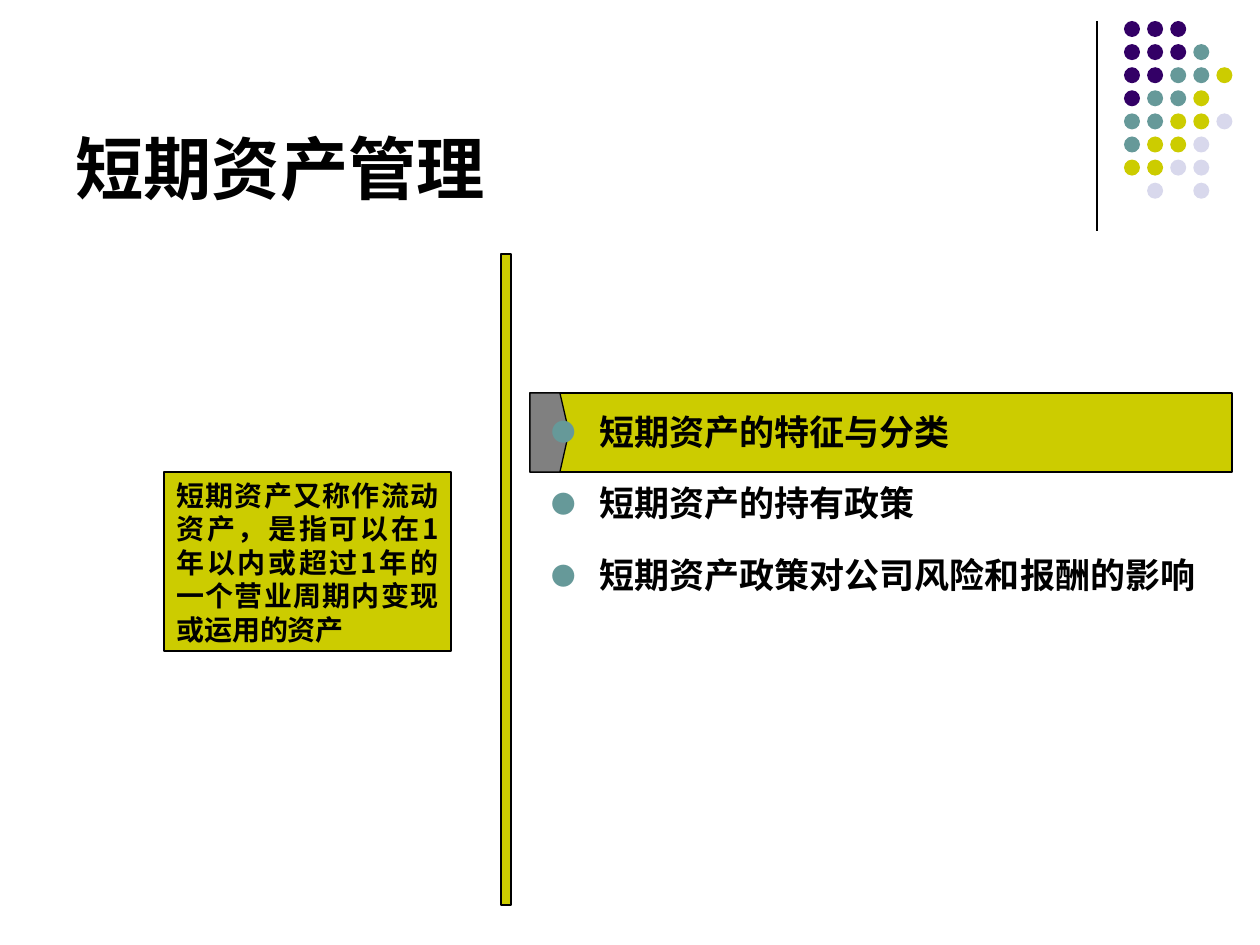
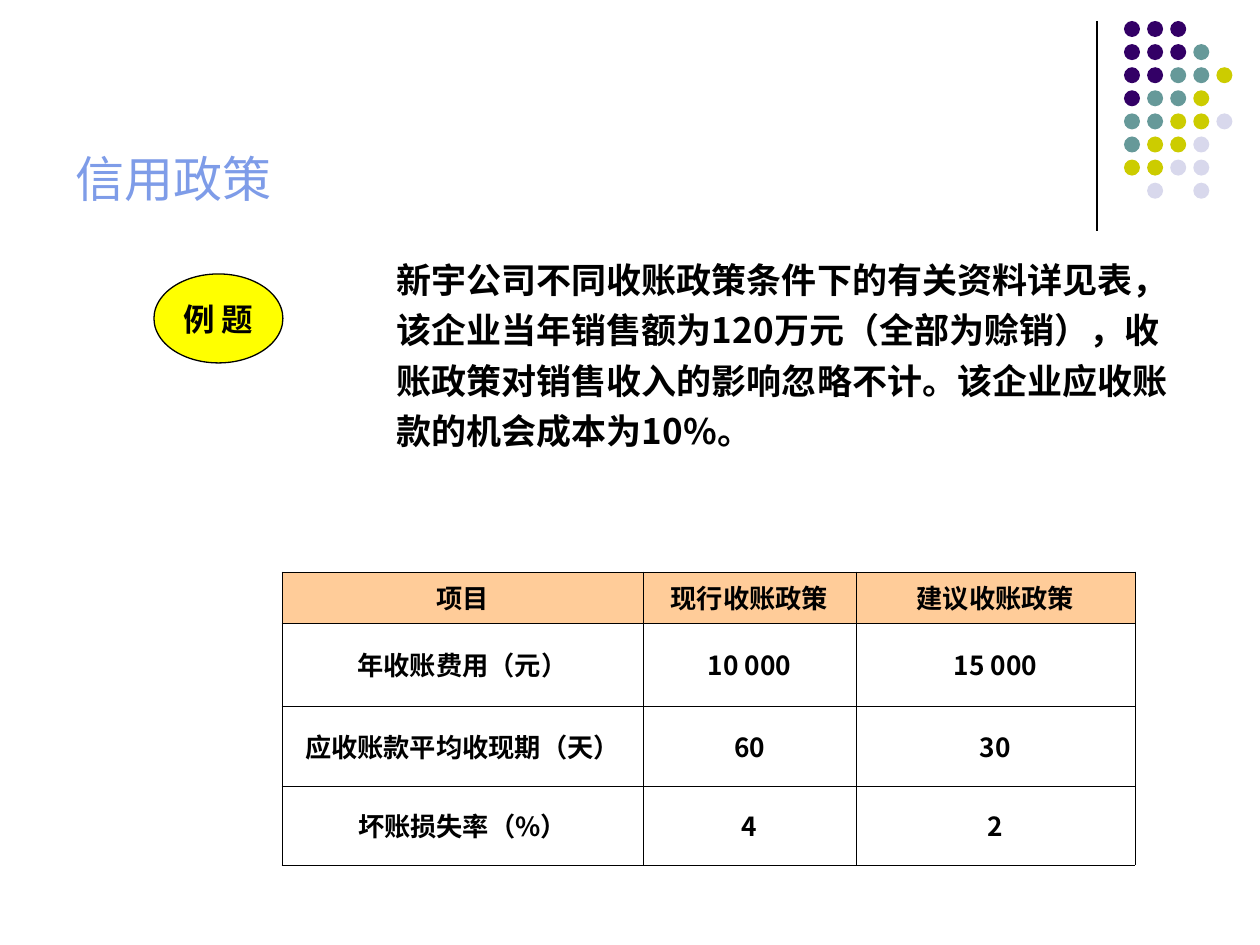
from lxml.etree import SubElement
from pptx import Presentation
from pptx.dml.color import RGBColor
from pptx.enum.shapes import MSO_CONNECTOR, MSO_SHAPE
from pptx.enum.text import MSO_ANCHOR, PP_ALIGN
from pptx.oxml.ns import qn
from pptx.util import Pt

SCALE = 914400 / 126
BLACK = RGBColor(0x00, 0x00, 0x00)
WHITE = RGBColor(0xFF, 0xFF, 0xFF)
PURPLE = RGBColor(0x33, 0x00, 0x66)
TEAL = RGBColor(0x66, 0x99, 0x99)
OLIVE = RGBColor(0xCC, 0xCC, 0x00)
LILAC = RGBColor(0xD8, 0xD8, 0xEC)
GRAY = RGBColor(0x80, 0x80, 0x80)
BLUE = RGBColor(0x7E, 0x9C, 0xE8)
YELLOW = RGBColor(0xFF, 0xFF, 0x00)
PEACH = RGBColor(0xFF, 0xCC, 0x99)
SANS = "Noto Sans CJK SC"
DOTS = ["PPP", "PPPT", "PPTTY", "PTTY", "TTYYL", "TYYL", "YYLL", " L L"]
TONES = {"P": PURPLE, "T": TEAL, "Y": OLIVE, "L": LILAC}
TITLE = (63, 45, 1040, 169)


def px(size):
    return round(size * SCALE)


def emu(box):
    return [px(size) for size in box]


def paint(shape, fill, edge=BLACK):
    shape.shadow.inherit = False
    shape.fill.solid()
    shape.fill.fore_color.rgb = fill
    if edge is None:
        shape.line.fill.background()
    else:
        shape.line.color.rgb = edge
        shape.line.width = Pt(0.75)
    return shape


def draw(slide, kind, box, fill, edge=BLACK):
    return paint(slide.shapes.add_shape(kind, *emu(box)), fill, edge)


def write(para, text, size, bold=True, color=BLACK, face=SANS, align=PP_ALIGN.LEFT):
    para.text = text
    para.alignment = align
    font = para.font
    font.size, font.bold, font.name = Pt(size), bold, face
    font.color.rgb = color
    props = para._p.get_or_add_pPr().find(qn("a:defRPr"))
    SubElement(props, qn("a:ea"), typeface=SANS)


def space(para, lines):
    para.line_spacing = lines
    para.space_before = Pt(5)


def indent(para, left, first):
    props = para._p.get_or_add_pPr()
    props.set("marL", str(px(left)))
    props.set("indent", str(px(first)))
    return props


def bullet(para):
    props = indent(para, 96, -48)
    tone = SubElement(props, qn("a:buClr"))
    SubElement(tone, qn("a:srgbClr"), val=str(TEAL))
    SubElement(props, qn("a:buSzPct"), val="70000")
    SubElement(props, qn("a:buFont"), typeface=SANS)
    SubElement(props, qn("a:buChar"), char="●")


def frame(slide, box):
    text = slide.shapes.add_textbox(*emu(box)).text_frame
    text.word_wrap = True
    return text


def corner(slide, left, top):
    line = slide.shapes.add_connector(
        MSO_CONNECTOR.STRAIGHT, *emu((left, top, left, top + 210)))
    line.line.color.rgb = BLACK
    line.line.width = Pt(0.75)
    SubElement(line._element.spPr, qn("a:effectLst"))
    for row, marks in enumerate(DOTS):
        for col, mark in enumerate(marks):
            if mark in TONES:
                box = (left + 27 + 23.1 * col, top + 23.1 * row, 16, 16)
                draw(slide, MSO_SHAPE.OVAL, box, TONES[mark], None)


def heading(slide, box, text, **style):
    title = frame(slide, box)
    title.vertical_anchor = MSO_ANCHOR.BOTTOM
    write(title.paragraphs[0], text, face="Arial", **style)


def topic(slide, box):
    left, top, wide, high = box
    draw(slide, MSO_SHAPE.RECTANGLE, box, OLIVE)
    form = slide.shapes.build_freeform(left, top, scale=SCALE)
    form.add_line_segments([
        (left + 30, top), (left + 39, top + high / 2),
        (left + 30, top + high), (left, top + high)])
    paint(form.convert_to_shape(), GRAY)


def agenda(slide, box, items):
    body = frame(slide, box)
    for spot, item in enumerate(items):
        para = body.add_paragraph() if spot else body.paragraphs[0]
        bullet(para)
        write(para, item, 20)
        space(para, 1.5)


def note(slide, box, text):
    body = draw(slide, MSO_SHAPE.RECTANGLE, box, OLIVE).text_frame
    body.word_wrap = True
    body.vertical_anchor = MSO_ANCHOR.TOP
    write(body.paragraphs[0], text, 16, align=PP_ALIGN.JUSTIFY)


def story(slide, box, text):
    para = frame(slide, box).paragraphs[0]
    indent(para, 48, 0)
    write(para, text, 20)
    space(para, 1.2)


def badge(slide, box, text):
    body = draw(slide, MSO_SHAPE.OVAL, box, YELLOW).text_frame
    body.word_wrap = False
    body.vertical_anchor = MSO_ANCHOR.MIDDLE
    write(body.paragraphs[0], text, 18, align=PP_ALIGN.CENTER)


def border(cell):
    props = cell._tc.get_or_add_tcPr()
    for side in ("lnL", "lnR", "lnT", "lnB"):
        line = SubElement(props, qn("a:" + side), w=str(Pt(0.45)))
        fill = SubElement(line, qn("a:solidFill"))
        SubElement(fill, qn("a:srgbClr"), val=str(BLACK))


def grid(slide, left, top, wides, highs, rows):
    box = (left, top, sum(wides), sum(highs))
    table = slide.shapes.add_table(len(rows), len(wides), *emu(box)).table
    table.first_row = table.horz_banding = False
    for col, wide in zip(table.columns, wides):
        col.width = px(wide)
    for row, high in zip(table.rows, highs):
        row.height = px(high)
    for i, row in enumerate(rows):
        for j, text in enumerate(row):
            cell = table.cell(i, j)
            border(cell)
            cell.fill.solid()
            cell.fill.fore_color.rgb = WHITE if i else PEACH
            cell.vertical_anchor = MSO_ANCHOR.MIDDLE
            write(cell.text_frame.paragraphs[0], text, 15, align=PP_ALIGN.CENTER)


def start(deck):
    slide = deck.slides.add_slide(deck.slide_layouts[6])
    corner(slide, 1097, 21)
    return slide


def assets(deck):
    slide = start(deck)
    topic(slide, (530, 393, 702, 79))
    agenda(slide, (491, 383, 769, 593), [
        "短期资产的特征与分类",
        "短期资产的持有政策",
        "短期资产政策对公司风险和报酬的影响"])
    draw(slide, MSO_SHAPE.RECTANGLE, (501, 254, 10, 651), OLIVE)
    note(slide, (164, 472, 287, 179),
         "短期资产又称作流动资产，是指可以在1年以内或超过1年的一个营业周期内变现或运用的资产")
    heading(slide, TITLE, "短期资产管理", size=39)


def credit(deck):
    slide = start(deck)
    heading(slide, TITLE, "信用政策", size=28, bold=False, color=BLUE)
    story(slide, (336, 244, 868, 228),
          "新宇公司不同收账政策条件下的有关资料详见表，该企业当年销售额为120万元（全部为赊销），"
          "收账政策对销售收入的影响忽略不计。该企业应收账款的机会成本为10%。")
    grid(slide, 282, 572, (361, 213, 279), (51, 83, 80, 79), [
        ("项目", "现行收账政策", "建议收账政策"),
        ("年收账费用（元）", "10 000", "15 000"),
        ("应收账款平均收现期（天）", "60", "30"),
        ("坏账损失率（%）", "4", "2")])
    badge(slide, (154, 274, 129, 89), "例 题")


def main():
    deck = Presentation()
    deck.slide_width, deck.slide_height = px(1260), px(945)
    assets(deck)
    credit(deck)
    deck.save("out.pptx")


if __name__ == "__main__":
    main()
